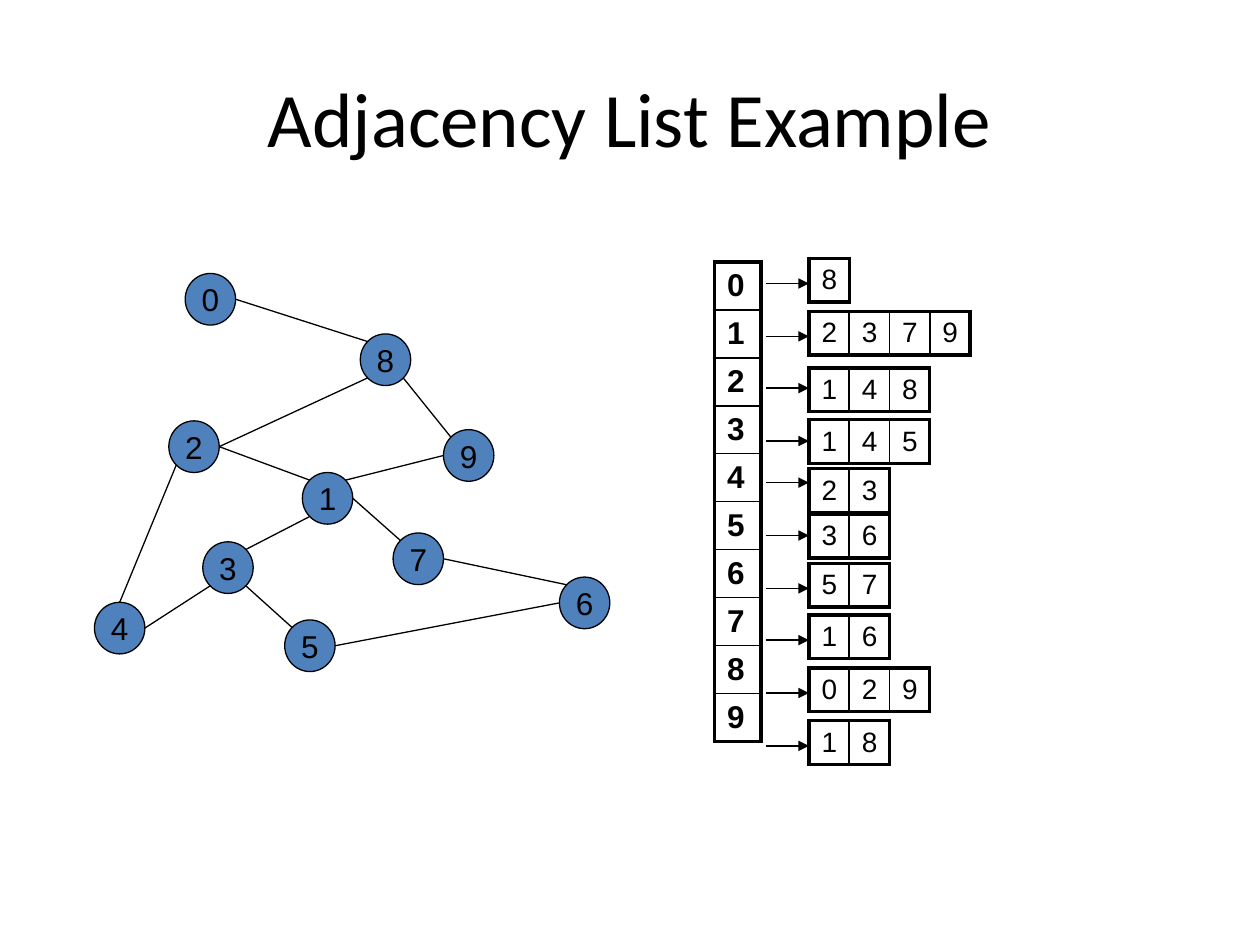
import pptx
import pptx.util
import pptx.dml.color
import pptx.enum.shapes
import pptx.enum.text
import pptx.oxml
import pptx.oxml.ns
import lxml.etree

Inches = pptx.util.Inches
Pt = pptx.util.Pt
rgb = pptx.dml.color.RGBColor.from_string
qn = pptx.oxml.ns.qn
BLACK = "000000"


def add_line(s, x1, y1, x2, y2, arrow=False):
    c = s.shapes.add_connector(pptx.enum.shapes.MSO_CONNECTOR.STRAIGHT,
                               Inches(x1), Inches(y1), Inches(x2), Inches(y2))
    c.line.color.rgb = rgb(BLACK)
    c.line.width = Pt(0.75)
    if arrow:
        ln = c.line._get_or_add_ln()
        lxml.etree.SubElement(ln, qn("a:tailEnd"), type="triangle")
    lxml.etree.SubElement(c._element.spPr, qn("a:effectLst"))


def add_grid(s, rows, left, top, col_w, row_h, size, bold=False):
    n_rows, n_cols = len(rows), len(rows[0])
    gf = s.shapes.add_table(n_rows, n_cols, Inches(left), Inches(top),
                            Inches(col_w * n_cols), Inches(row_h * n_rows))
    tbl = gf.table
    tbl.first_row = tbl.horz_banding = False
    for i, row in enumerate(rows):
        for j, value in enumerate(row):
            cell = tbl.cell(i, j)
            cell.text_frame.text = value
            r = cell.text_frame.paragraphs[0].runs[0]
            r.font.name = "Arial"
            r.font.size = Pt(size)
            r.font.bold = bold
            r.font.color.rgb = rgb(BLACK)
            outer = {"L": j == 0, "R": j == n_cols - 1, "T": i == 0, "B": i == n_rows - 1}
            tcPr = cell._tc.get_or_add_tcPr()
            for side, is_outer in outer.items():
                width = Pt(2.25 if is_outer else 1)
                ln = lxml.etree.SubElement(tcPr, qn("a:ln" + side), w=str(int(width)))
                fill = lxml.etree.SubElement(ln, qn("a:solidFill"))
                lxml.etree.SubElement(fill, qn("a:srgbClr"), val=BLACK)
            cell.fill.background()


prs = pptx.Presentation()
prs.slide_width = Inches(10)
prs.slide_height = Inches(7.5)
s = prs.slides.add_slide(prs.slide_layouts[5])

title = s.shapes.title
title.left, title.top = Inches(0.5), Inches(0.3)
title.width, title.height = Inches(9), Inches(1.25)
tf = title.text_frame
tf.text = "Adjacency List Example"
tf.vertical_anchor = pptx.enum.text.MSO_ANCHOR.MIDDLE
p = tf.paragraphs[0]
p.alignment = pptx.enum.text.PP_ALIGN.CENTER
r = p.runs[0]
r.font.name = "Calibri"
r.font.size = Pt(44)
r.font.color.rgb = rgb(BLACK)

NODE_W, NODE_H = 0.4, 0.41
nodes = {
    "2": (1.34, 3.34), "4": (0.75, 4.78), "3": (1.61, 4.3), "5": (2.26, 4.92),
    "1": (2.4, 3.75), "7": (3.12, 4.23), "6": (4.44, 4.58), "9": (3.52, 3.41),
    "8": (2.86, 2.65), "0": (1.47, 2.17),
}
for name, (x, y) in nodes.items():
    sp = s.shapes.add_shape(pptx.enum.shapes.MSO_SHAPE.OVAL,
                            Inches(x), Inches(y), Inches(NODE_W), Inches(NODE_H))
    sp.shadow.inherit = False
    sp.fill.solid()
    sp.fill.fore_color.rgb = rgb("4F81BD")
    sp.line.color.rgb = rgb(BLACK)
    sp.line.width = Pt(0.75)
    tf = sp.text_frame
    tf.text = name
    tf.word_wrap = False
    tf.vertical_anchor = pptx.enum.text.MSO_ANCHOR.MIDDLE
    p = tf.paragraphs[0]
    p.alignment = pptx.enum.text.PP_ALIGN.CENTER
    r = p.runs[0]
    r.font.name = "Arial"
    r.font.size = Pt(18)
    r.font.color.rgb = rgb(BLACK)

rim = {"N": (0.5, 0), "W": (0, 0.5), "E": (1, 0.5), "NW": (0.15, 0.15),
       "NE": (0.85, 0.15), "SW": (0.15, 0.85), "SE": (0.85, 0.85)}
edges = [
    ("0", "E", "8", "NW"), ("8", "SE", "9", "NW"), ("9", "W", "1", "NE"),
    ("8", "SW", "2", "E"), ("2", "E", "1", "NW"), ("2", "SW", "4", "N"),
    ("4", "E", "3", "SW"), ("3", "NE", "1", "SW"), ("3", "SE", "5", "NW"),
    ("5", "E", "6", "W"), ("1", "E", "7", "NW"), ("7", "E", "6", "NW"),
]
for a, a_side, b, b_side in edges:
    ends = []
    for name, side in ((a, a_side), (b, b_side)):
        ends += [nodes[name][0] + rim[side][0] * NODE_W,
                 nodes[name][1] + rim[side][1] * NODE_H]
    add_line(s, *ends)

add_grid(s, [[str(i)] for i in range(10)], 5.67, 2.08, 0.37, 0.33, 18, bold=True)

LIST_X = 6.42
adjacency = [
    ("8", 2.25, 2.05), ("2379", 2.67, 2.47), ("148", 3.08, 2.92),
    ("145", 3.5, 3.33), ("23", 3.83, 3.72), ("36", 4.25, 4.08),
    ("57", 4.67, 4.47), ("16", 5.08, 4.88), ("029", 5.5, 5.3), ("18", 5.92, 5.72),
]
for neighbours, arrow_y, top in adjacency:
    add_line(s, 6.08, arrow_y, LIST_X, arrow_y, arrow=True)
    add_grid(s, [list(neighbours)], LIST_X, top, 0.32, 0.31, 16)

prs.save("out.pptx")
